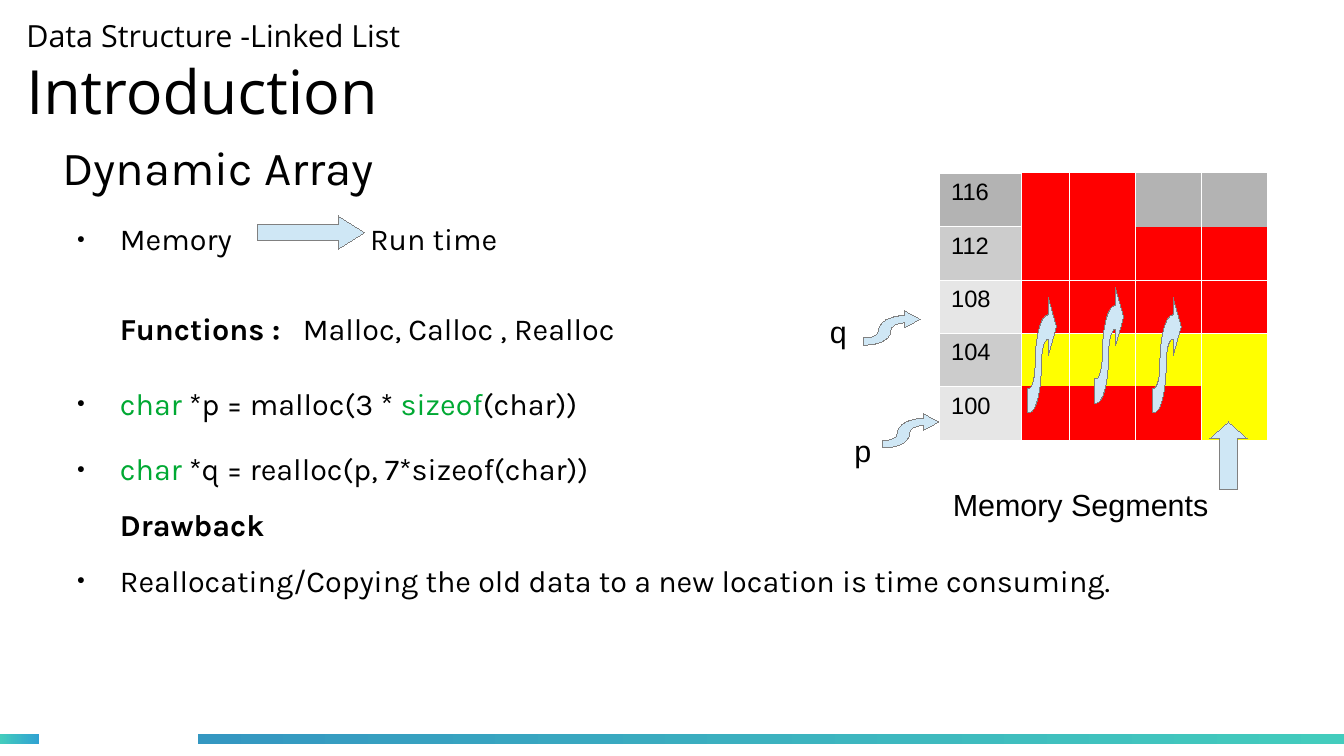
from dataclasses import dataclass

import pptx
import pptx.dml.color
import pptx.enum.shapes
import pptx.enum.text
import pptx.oxml
import pptx.oxml.ns
import pptx.util
from pptx.util import Cm


@dataclass(frozen=True)
class Theme:
    text: str = "000000"
    keyword: str = "00A933"
    arrow: str = "CFE7F5"
    outline: str = "808080"
    border: str = "FFFFFF"
    teal: str = "43CCBD"
    light_blue: str = "30A2D2"
    blue: str = "3497C1"
    body_size: int = 18
    label_size: int = 14
    heading_size: int = 28
    title_size: int = 36
    title_font: str = "Open Sans"
    body_font: str = "Karla"
    label_font: str = "Arial"


THEME = Theme()
SHAPES = pptx.enum.shapes.MSO_SHAPE
MIDDLE = pptx.enum.text.MSO_ANCHOR.MIDDLE
NAMESPACE = pptx.oxml.ns.nsdecls("a")

DARK, MID, LIGHT, RED, YELLOW = "B3B3B3", "CCCCCC", "E6E6E6", "FF0000", "FFFF00"
MEMORY_ROWS = [
    ("116", [DARK, RED, RED, DARK, DARK]),
    ("112", [MID, RED, RED, RED, RED]),
    ("108", [LIGHT, RED, RED, RED, RED]),
    ("104", [MID, YELLOW, YELLOW, YELLOW, YELLOW]),
    ("100", [LIGHT, RED, RED, RED, YELLOW]),
]
COLUMN_WIDTHS = [1.71, 1.01, 1.37, 1.37, 1.37]
ROW_HEIGHT = 1.11
RULED_ROWS = (1, 2)  # rows with a line below their memory cells

# Bulleted, tab stop, space before, space after, runs
BODY = [
    (True, 6.41, 0, 25.5, [("Memory\tRun time", {})]),
    (False, 6.3, 5.7, 17, [("Functions :\t", {"bold": True}), ("Malloc, Calloc , Realloc", {})]),
    (True, None, 5.7, 17, [("char", {"color": THEME.keyword}), (" *p = malloc(3 * ", {}),
                           ("sizeof", {"color": THEME.keyword}), ("(char))", {})]),
    (True, None, 0, 11.4, [("char", {"color": THEME.keyword}),
                           (" *q = realloc(p, 7*sizeof(char))", {})]),
    (False, None, 0, 11.4, [("Drawback", {"bold": True})]),
    (True, None, 0, 11.4,
     [("Reallocating/Copying the old data to a new location is time consuming.", {})]),
]

# Outline in a unit square: one point is a line, three points are a Bézier curve
WAVY_START = (0.7, 0.15)
WAVY_STEPS = [
    [(0.46, 0.15), (0.26, 0.34), (0.26, 0.57)],
    [(0.26, 0.7), (0.15, 0.79), (0.04, 0.79)],
    [(0, 0.79)], [(0, 1)], [(0.04, 1)],
    [(0.28, 1), (0.48, 0.82), (0.48, 0.57)],
    [(0.48, 0.46), (0.57, 0.36), (0.7, 0.36)],
    [(0.72, 0.36)], [(0.72, 0.5)], [(1, 0.25)], [(0.72, 0)], [(0.72, 0.15)],
]


def rgb(color):
    return pptx.dml.color.RGBColor.from_string(color)


def element(tag, attributes="", content=""):
    return pptx.oxml.parse_xml(f"<a:{tag} {NAMESPACE} {attributes}>{content}</a:{tag}>")


def add_run(paragraph, text, *, size=THEME.body_size, font=THEME.body_font,
            color=THEME.text, bold=False):
    run = paragraph.add_run()
    run.text = text
    run.font.size = pptx.util.Pt(size)
    run.font.name = font
    run.font.color.rgb = rgb(color)
    run.font.bold = bold


def add_text_frame(slide, left, top, width, height, margins=(0, 0), anchor=None):
    frame = slide.shapes.add_textbox(Cm(left), Cm(top), Cm(width), Cm(height)).text_frame
    frame.word_wrap = True
    frame.margin_left = frame.margin_right = Cm(margins[0])
    frame.margin_top = frame.margin_bottom = Cm(margins[1])
    frame.vertical_anchor = anchor
    return frame


def add_label(slide, text, left, top, width, height):
    frame = add_text_frame(slide, left, top, width, height, margins=(0.25, 0.13))
    add_run(frame.paragraphs[0], text, font=THEME.label_font)


def add_titles(slide):
    title = add_text_frame(slide, 0.55, 0.2, 19.5, 2.6, anchor=MIDDLE)
    add_run(title.paragraphs[0], "Data Structure -Linked List", font=THEME.title_font)
    add_run(title.add_paragraph(), "Introduction", size=THEME.title_size, font=THEME.title_font)
    heading = add_text_frame(slide, 1.3, 2.48, 7.5, 2, anchor=MIDDLE)
    add_run(heading.paragraphs[0], "Dynamic Array", size=THEME.heading_size)


def set_indent(paragraph, bulleted, tab):
    properties = paragraph._p.get_or_add_pPr()
    properties.set("marL", str(Cm(1.2)))
    properties.set("indent", str(Cm(-0.9) if bulleted else 0))
    if bulleted:
        properties.append(element("buClr", content=f'<a:srgbClr val="{THEME.text}"/>'))
        properties.append(element("buSzPct", 'val="45000"'))
        properties.append(element("buFont", f'typeface="{THEME.label_font}"'))
        properties.append(element("buChar", 'char="●"'))
    if tab:
        properties.append(element("tabLst", content=f'<a:tab pos="{Cm(tab)}" algn="l"/>'))


def add_body(slide):
    frame = add_text_frame(slide, 1.3, 4.59, 25.5, 10.2)
    for index, (bulleted, tab, before, after, runs) in enumerate(BODY):
        paragraph = frame.add_paragraph() if index else frame.paragraphs[0]
        set_indent(paragraph, bulleted, tab)
        paragraph.space_before = pptx.util.Pt(before)
        paragraph.space_after = pptx.util.Pt(after)
        for text, style in runs:
            add_run(paragraph, text, **style)


def set_borders(cell, ruled_sides):
    """Draw hairlines on the given sides (L, R, T, B) and none on the others."""
    properties = cell._tc.get_or_add_tcPr()
    line = f'<a:solidFill><a:srgbClr val="{THEME.border}"/></a:solidFill>'
    for position, side in enumerate("LRTB"):
        fill = line if side in ruled_sides else "<a:noFill/>"
        properties.insert(position, element(f"ln{side}", 'w="720"', fill))


def add_memory_table(slide):
    table = slide.shapes.add_table(
        len(MEMORY_ROWS), len(COLUMN_WIDTHS), Cm(19.56), Cm(3.61),
        Cm(sum(COLUMN_WIDTHS)), Cm(ROW_HEIGHT * len(MEMORY_ROWS))).table
    table.first_row = table.horz_banding = False
    for column, width in zip(table.columns, COLUMN_WIDTHS):
        column.width = Cm(width)
    for row, (address, colors) in enumerate(MEMORY_ROWS):
        table.rows[row].height = Cm(ROW_HEIGHT)
        for column, color in enumerate(colors):
            cell = table.cell(row, column)
            cell.fill.solid()
            cell.fill.fore_color.rgb = rgb(color)
            above = "T" if column == 0 or row - 1 in RULED_ROWS else ""
            below = "B" if column == 0 or row in RULED_ROWS else ""
            set_borders(cell, "LR" + above + below)
        add_run(table.cell(row, 0).text_frame.paragraphs[0], address,
                size=THEME.label_size, font=THEME.label_font)


def style_arrow(shape):
    shape.shadow.inherit = False
    shape.fill.solid()
    shape.fill.fore_color.rgb = rgb(THEME.arrow)
    shape.line.color.rgb = rgb(THEME.outline)
    shape.line.width = pptx.util.Pt(0.01)


def add_block_arrow(slide, kind, left, top, width, height, head):
    arrow = slide.shapes.add_shape(kind, Cm(left), Cm(top), Cm(width), Cm(height))
    arrow.adjustments[1] = head
    style_arrow(arrow)


def add_wavy_arrow(slide, left, top, width, height):
    """Build the outline from its corners, then bend the curved steps."""
    corners = [WAVY_START] + [step[-1] for step in WAVY_STEPS]
    points = [(Cm(left + x * width), Cm(top + y * height)) for x, y in corners]
    builder = slide.shapes.build_freeform(*points[0])
    builder.add_line_segments(points[1:], close=True)
    arrow = builder.convert_to_shape()
    segments = list(arrow._element.iter(pptx.oxml.ns.qn("a:lnTo")))
    for segment, step in zip(segments, WAVY_STEPS):
        if len(step) == 3:
            controls = "".join(f'<a:pt x="{Cm(x * width)}" y="{Cm(y * height)}"/>'
                               for x, y in step)
            segment.getparent().replace(segment, element("cubicBezTo", content=controls))
    style_arrow(arrow)


def add_footer_bar(slide, left, width, start, end):
    bar = slide.shapes.add_shape(SHAPES.RECTANGLE, Cm(left), Cm(15.3), Cm(width), Cm(0.21))
    bar.shadow.inherit = False
    bar.line.fill.background()
    bar.fill.gradient()
    bar.fill.gradient_angle = 0
    for stop, color in zip(bar.fill.gradient_stops, (start, end)):
        stop.color.rgb = rgb(color)


def main():
    presentation = pptx.Presentation()
    presentation.slide_width, presentation.slide_height = Cm(28), Cm(15.75)
    slide = presentation.slides.add_slide(presentation.slide_layouts[6])
    add_footer_bar(slide, 0, 0.82, THEME.teal, THEME.light_blue)
    add_footer_bar(slide, 4.13, 23.87, THEME.blue, THEME.teal)
    add_titles(slide)
    add_body(slide)
    add_block_arrow(slide, SHAPES.RIGHT_ARROW, 5.36, 4.5, 2.24, 0.69, head=0.8)
    add_memory_table(slide)
    add_label(slide, "p", 17.55, 8.88, 1.55, 0.97)
    add_label(slide, "q", 17.04, 6.4, 1.55, 0.97)
    add_label(slide, "Memory Segments", 19.6, 10, 7.4, 1.68)
    for left, top in [(18.39, 8.61), (18, 6.47)]:
        add_wavy_arrow(slide, left, top, 1.17, 0.72)
    for left, top in [(21.41, 6.2), (22.81, 6), (24.01, 6.2)]:
        add_wavy_arrow(slide, left, top, 0.6, 2.4)
    add_block_arrow(slide, SHAPES.UP_ARROW, 25.2, 8.79, 0.79, 1.4, head=0.44)
    presentation.save("out.pptx")


if __name__ == "__main__":
    main()
